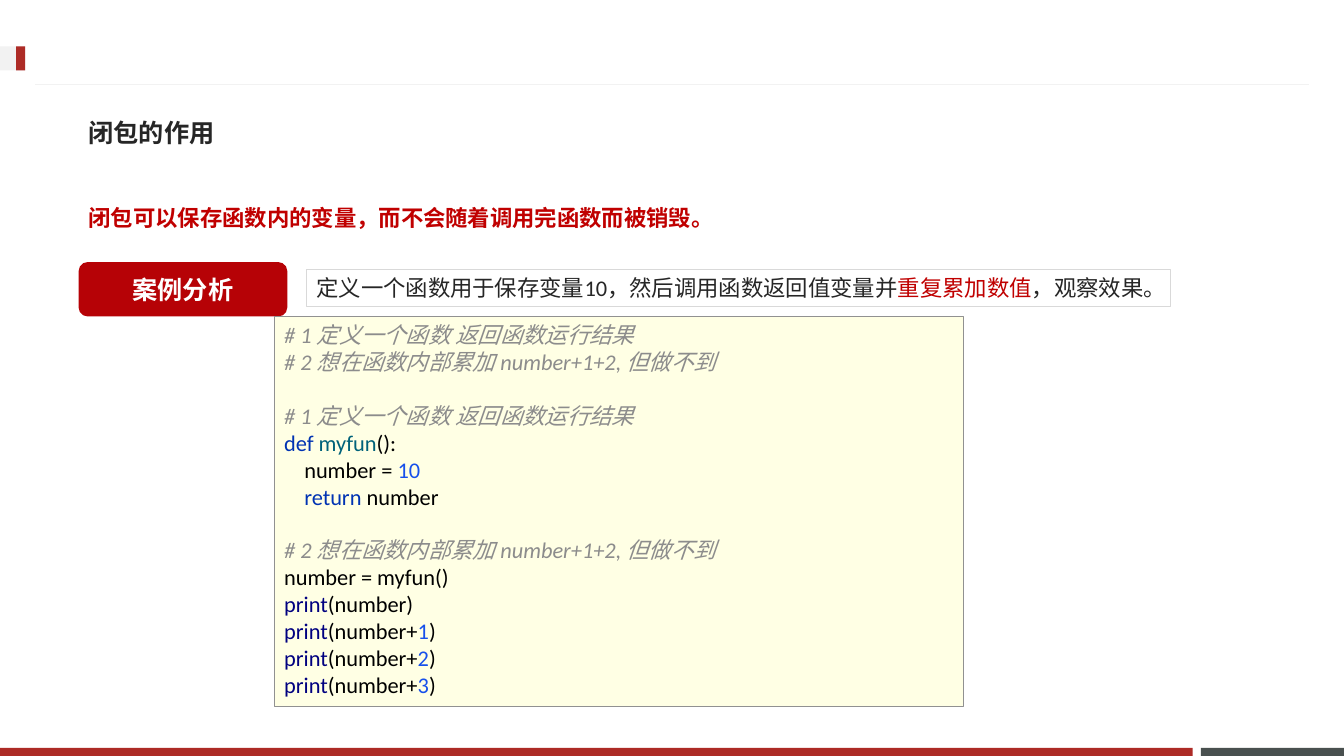
from lxml.etree import SubElement
from pptx import Presentation
from pptx.dml.color import RGBColor
from pptx.enum.shapes import MSO_CONNECTOR, MSO_SHAPE
from pptx.enum.text import MSO_ANCHOR, PP_ALIGN
from pptx.oxml.ns import qn
from pptx.util import Pt

PX = 9144  # EMU per px, 100 px to the inch

WHITE = RGBColor(0xFF, 0xFF, 0xFF)
BLACK = RGBColor(0x00, 0x00, 0x00)
INK = RGBColor(0x26, 0x26, 0x26)
BRICK = RGBColor(0xAD, 0x2B, 0x26)
SLATE = RGBColor(0x49, 0x50, 0x4F)
PALE = RGBColor(0xF2, 0xF2, 0xF2)
RED = RGBColor(0xC0, 0x00, 0x00)
BADGE_RED = RGBColor(0xB6, 0x02, 0x06)
FRAME = RGBColor(0xD9, 0xD9, 0xD9)
CODE_FILL = RGBColor(0xFF, 0xFF, 0xE4)
CODE_FRAME = RGBColor(0x91, 0x91, 0x91)
COMMENT = RGBColor(0x8C, 0x8C, 0x8C)
KEYWORD = RGBColor(0x00, 0x33, 0xB3)
FUNCTION = RGBColor(0x00, 0x62, 0x7A)
NUMBER = RGBColor(0x17, 0x50, 0xEB)
BUILTIN = RGBColor(0x00, 0x00, 0x80)

STEP_1 = "# 1 定义一个函数 返回函数运行结果"
STEP_2 = "# 2 想在函数内部累加 number+1+2, 但做不到"

# Code lines, each a list of (text, colour)
CODE = [
    [(STEP_1, COMMENT)],
    [(STEP_2, COMMENT)],
    [],
    [(STEP_1, COMMENT)],
    [("def ", KEYWORD), ("myfun", FUNCTION), ("():", BLACK)],
    [("    number = ", BLACK), ("10", NUMBER)],
    [("    return ", KEYWORD), ("number", BLACK)],
    [],
    [(STEP_2, COMMENT)],
    [("number = myfun()", BLACK)],
    [("print", BUILTIN), ("(number)", BLACK)],
]
CODE += [
    [("print", BUILTIN), ("(number+", BLACK), (n, NUMBER), (")", BLACK)]
    for n in "123"
]


def box(px):
    return [v * PX for v in px]


def add_box(s, px, fill=None, line=None, width=0.75, kind=MSO_SHAPE.RECTANGLE):
    sp = s.shapes.add_shape(kind, *box(px))
    sp.shadow.inherit = False
    if fill is None:
        sp.fill.background()
    else:
        sp.fill.solid()
        sp.fill.fore_color.rgb = fill
    if line is None:
        sp.line.fill.background()
    else:
        sp.line.color.rgb = line
        sp.line.width = Pt(width)
    return sp


def add_rule(s, x1, y1, x2, y2, color):
    cxn = s.shapes.add_connector(MSO_CONNECTOR.STRAIGHT, *box((x1, y1, x2, y2)))
    cxn.line.color.rgb = color
    cxn.line.width = Pt(0.75)
    SubElement(cxn._element.spPr, qn("a:effectLst"))


def write(sp, lines, size=16, font="Calibri", bold=False, wrap=True,
          anchor=MSO_ANCHOR.TOP, align=PP_ALIGN.LEFT, spacing=None):
    """Fill a shape with one paragraph of lines; each line lists (text, colour)."""
    tf = sp.text_frame
    tf.word_wrap = wrap
    tf.vertical_anchor = anchor
    p = tf.paragraphs[0]
    p.alignment = align
    p.font.size = Pt(size)
    if spacing:
        p.line_spacing = spacing
    for i, line in enumerate(lines):
        if i:
            p.add_line_break()
        for text, color in line:
            r = p.add_run()
            r.text = text
            r.font.name = font
            r.font.size = Pt(size)
            r.font.bold = bold
            r.font.italic = color == COMMENT
            r.font.color.rgb = color
    # Line breaks take the text size, so that blank lines keep their height
    for br in p._p.findall(qn("a:br")):
        SubElement(br, qn("a:rPr")).set("sz", str(size * 100))


def add_text(s, px, lines, **fmt):
    write(s.shapes.add_textbox(*box(px)), lines, **fmt)


def main():
    prs = Presentation()
    prs.slide_width, prs.slide_height = 1333 * PX, 750 * PX
    s = prs.slides.add_slide(prs.slide_layouts[6])

    # Footer bars, header rule and header marker
    add_box(s, (1191, 742, 142, 8), fill=SLATE)
    add_box(s, (0, 742, 1183, 8), fill=BRICK)
    add_rule(s, 1298, 84, 35, 84, PALE)
    add_box(s, (0, 46, 25, 24), fill=PALE)
    add_box(s, (16, 46, 9, 24), fill=BRICK)

    # Heading and key statement
    add_text(s, (78, 103, 1170, 57), [[("闭包的作用", INK)]], size=18,
             font="Noto Sans CJK JP", bold=True, anchor=MSO_ANCHOR.MIDDLE)
    add_text(s, (78, 184, 833, 50),
             [[("闭包可以保存函数内的变量，而不会随着调用完函数而被销毁。", RED)]],
             bold=True, spacing=1.5)

    # Case description with its badge
    case = add_box(s, (304, 267, 857, 37), line=FRAME)
    write(case, [[("定义一个函数用于保存变量10，然后调用函数返回值变量并", INK),
                  ("重复累加数值", RED), ("，观察效果。", INK)]], wrap=False)
    badge = add_box(s, (78, 260, 207, 54), fill=BADGE_RED,
                    kind=MSO_SHAPE.ROUNDED_RECTANGLE)
    write(badge, [[("案例分析", WHITE)]], size=18, font="Roboto", bold=True,
          anchor=MSO_ANCHOR.MIDDLE, align=PP_ALIGN.CENTER)

    # Code listing
    code = add_box(s, (272, 314, 683, 387), fill=CODE_FILL, line=CODE_FRAME,
                   width=0.25)
    write(code, CODE)

    prs.save("out.pptx")


if __name__ == "__main__":
    main()
